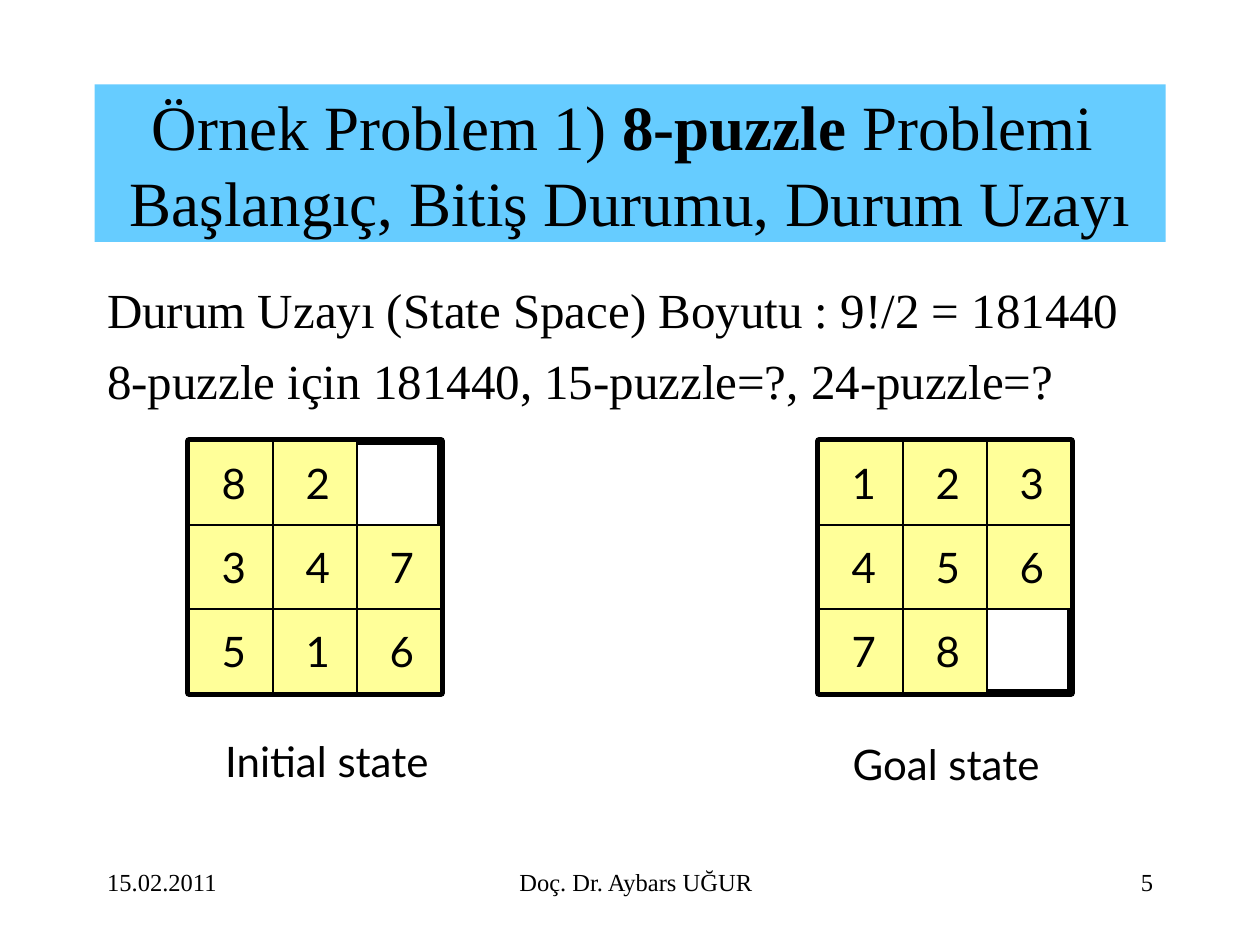
from pptx import Presentation
from pptx.dml.color import RGBColor
from pptx.enum.shapes import MSO_SHAPE
from pptx.enum.text import MSO_ANCHOR, MSO_AUTO_SIZE, PP_ALIGN
from pptx.util import Cm, Pt

SERIF, SANS = "Times New Roman", "Lato"
BLACK, SKY, YELLOW = "000000", "66CCFF", "FFFF99"
TILE = 5.08 / 3


def color(value):
    return RGBColor.from_string(value)


class SlideBuilder:
    def __init__(self, slide):
        self.slide = slide
        self.shapes = slide.shapes

    def start_group(self):
        self.shapes = self.slide.shapes.add_group_shape().shapes

    def end_group(self):
        self.shapes = self.slide.shapes

    def rectangle(self, left, top, width, height, fill=None, line_width=None):
        shape = self.shapes.add_shape(
            MSO_SHAPE.RECTANGLE, Cm(left), Cm(top), Cm(width), Cm(height))
        shape.shadow.inherit = False
        if fill:
            shape.fill.solid()
            shape.fill.fore_color.rgb = color(fill)
        else:
            shape.fill.background()
        if line_width:
            shape.line.color.rgb = color(BLACK)
            shape.line.width = Pt(line_width)
        else:
            shape.line.fill.background()
        return shape

    def fill_text(self, shape, paragraphs, font, size, align=PP_ALIGN.LEFT, gap=0):
        """Each paragraph is a list of (text, bold) runs."""
        frame = shape.text_frame
        for index, runs in enumerate(paragraphs):
            paragraph = frame.add_paragraph() if index else frame.paragraphs[0]
            paragraph.alignment = align
            if index:
                paragraph.space_before = Pt(gap)
            for text, bold in runs:
                for number, line in enumerate(text.split("\n")):
                    if number:
                        paragraph.add_line_break()
                    run = paragraph.add_run()
                    run.text = line
                    font_format = {"name": font, "size": Pt(size), "bold": bold}
                    for attribute, value in font_format.items():
                        setattr(run.font, attribute, value)
                    run.font.color.rgb = color(BLACK)

    def text(self, left, top, width, height, lines, font, size,
             align=PP_ALIGN.LEFT, gap=0, wrap=True):
        box = self.shapes.add_textbox(Cm(left), Cm(top), Cm(width), Cm(height))
        frame_format = {
            "word_wrap": wrap,
            "auto_size": MSO_AUTO_SIZE.NONE if wrap else MSO_AUTO_SIZE.SHAPE_TO_FIT_TEXT,
        }
        for attribute, value in frame_format.items():
            setattr(box.text_frame, attribute, value)
        self.fill_text(box, [[(line, False)] for line in lines], font, size, align, gap)

    def puzzle(self, left, top, rows):
        """Rows are strings of digits; a space is the empty square."""
        tiles = [(left + column * TILE, top + row * TILE, digit)
                 for row, digits in enumerate(rows)
                 for column, digit in enumerate(digits) if digit != " "]
        self.start_group()
        self.rectangle(left, top, 3 * TILE, 3 * TILE, line_width=4.5)
        for x, y, _ in tiles:
            self.rectangle(x, y, TILE, TILE, YELLOW, 0.75)
        for x, y, digit in tiles:
            self.text(x + 0.41, y + 0.21, 0.99, 1.27, [digit], SANS, 24, wrap=False)
        self.end_group()


def main():
    presentation = Presentation()
    presentation.slide_width, presentation.slide_height = Cm(25.4), Cm(19.05)
    builder = SlideBuilder(presentation.slides.add_slide(presentation.slide_layouts[6]))

    # Footer
    for left, width, text, align in (
            (1.91, 4.01, "15.02.2011", PP_ALIGN.LEFT),
            (6.15, 13.34, "Doç. Dr. Aybars UĞUR", PP_ALIGN.CENTER),
            (19.69, 3.81, "5", PP_ALIGN.RIGHT)):
        builder.text(left, 17.35, width, 1.27, [text], SERIF, 14, align)

    # Title
    title = builder.rectangle(1.91, 1.7, 21.59, 3.18, SKY)
    title.text_frame.word_wrap = True
    title.text_frame.vertical_anchor = MSO_ANCHOR.MIDDLE
    builder.fill_text(title, [[
        ("Örnek Problem 1)", False),
        (" 8-puzzle", True),
        (" Problemi \nBaşlangıç, Bitiş Durumu, Durum Uzayı", False),
    ]], SERIF, 36, PP_ALIGN.CENTER)

    # State space size
    builder.text(1.91, 5.51, 21.59, 11.43, [
        "Durum Uzayı (State Space) Boyutu : 9!/2 = 181440",
        "8-puzzle için 181440, 15-puzzle=?, 24-puzzle=?",
    ], SERIF, 28, gap=7)

    # Puzzle boards
    builder.puzzle(3.81, 8.89, ["82 ", "347", "516"])
    builder.puzzle(16.51, 8.89, ["123", "456", "78 "])

    # Board captions
    builder.text(4.29, 14.71, 4.93, 1.27, ["Initial state"], SANS, 24, wrap=False)
    builder.text(16.94, 14.76, 4.52, 1.27, ["Goal state"], SANS, 24, wrap=False)

    presentation.save("out.pptx")


if __name__ == "__main__":
    main()
